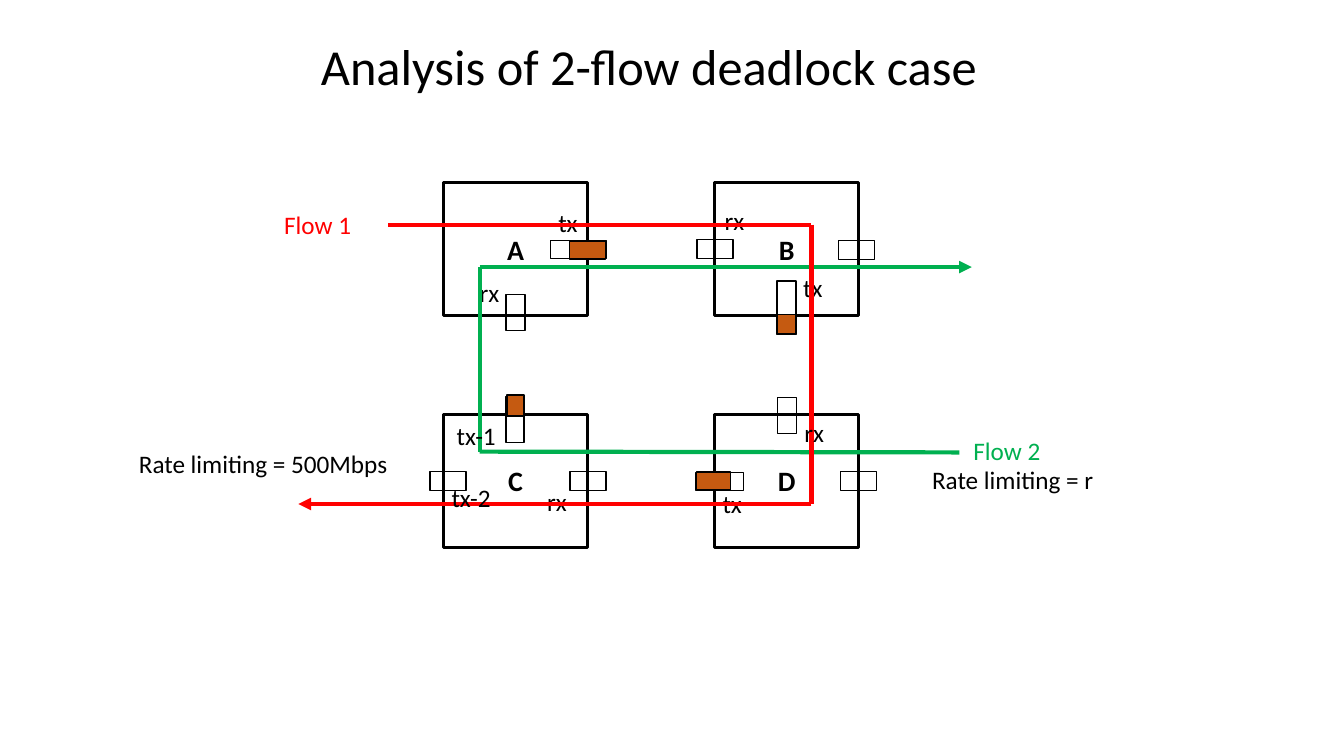
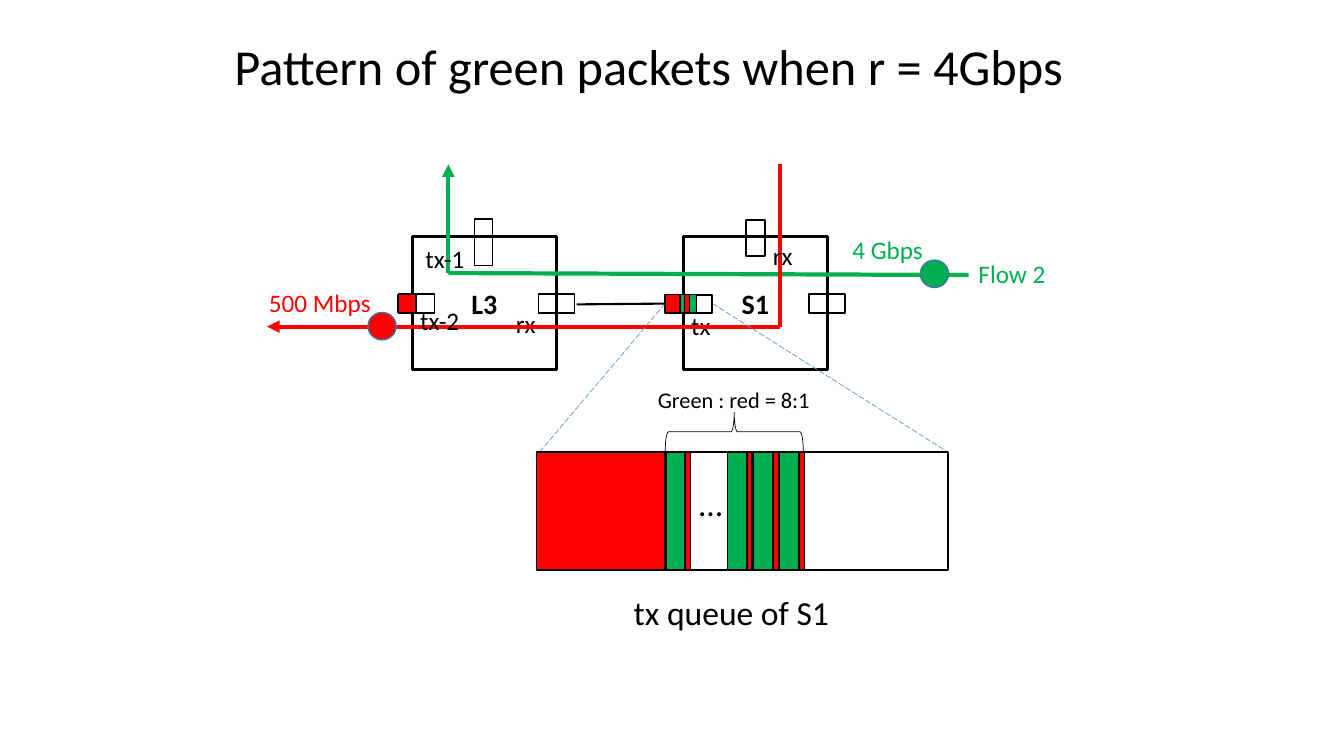
from lxml import etree
from pptx import Presentation
from pptx.dml.color import RGBColor
from pptx.enum.dml import MSO_LINE
from pptx.enum.shapes import MSO_CONNECTOR, MSO_SHAPE
from pptx.enum.text import MSO_ANCHOR, MSO_AUTO_SIZE, PP_ALIGN
from pptx.oxml.ns import qn
from pptx.util import Cm, Pt

FONT = "Calibri"
COLORS = {
    "black": "000000", "red": "FF0000", "green": "00B050",
    "queue": "C55A11", "dash": "5B9BD5", "ring": "43739E",
}
NODE_W, NODE_H = 3.63, 3.35
PAIR_GAP = 6.83  # from the left edge of one node to that of the next
FLAT = (0.91, 0.48)
UPRIGHT = (0.48, 0.91)

# Centre and size of each port, measured from the left node's corner
PAIR_PORTS = [
    (0.11, 1.68, *FLAT), (3.64, 1.68, *FLAT), (1.8, 0.13, 0.46, 1.17),
    (6.96, 1.69, 1.19, 0.46), (8.65, 0.03, *UPRIGHT), (10.45, 1.68, *FLAT),
]
LABELS_BELOW_FLOWS = [("rx", 2.36, 1.68, 1.02), ("tx", 6.78, 1.73, 0.99)]
LABELS_ABOVE_FLOWS = [
    ("tx-1", 0.08, 0.03, 1.52), ("tx-2", -0.05, 1.6, 1.52), ("rx", 8.84, -0.05, 1.02),
]


def rgb(name):
    """Look up a named colour."""
    return RGBColor.from_string(COLORS[name])


def style_text(p, size, color="black", bold=False):
    """Format every run of a paragraph."""
    for r in p.runs:
        r.font.name, r.font.size, r.font.bold = FONT, Pt(size), bold
        r.font.color.rgb = rgb(color)


def add_label(s, text, x, y, w, color="black", size=18, h=1.02):
    """Add a one-line text box that does not wrap."""
    tf = s.shapes.add_textbox(Cm(x), Cm(y), Cm(w), Cm(h)).text_frame
    tf.word_wrap = False
    tf.auto_size = MSO_AUTO_SIZE.SHAPE_TO_FIT_TEXT
    tf.text = text
    style_text(tf.paragraphs[0], size, color)
    return tf


def add_title(s, text):
    """Add the centred slide title."""
    tf = add_label(s, text, 1.6, 0.76, 29.51, size=36, h=1.8)
    tf.word_wrap = True
    tf.paragraphs[0].alignment = PP_ALIGN.CENTER


def add_outlined(s, kind, x, y, w, h, fill=None, line="black", width=1):
    """Add a preset shape with an outline and an optional fill."""
    sp = s.shapes.add_shape(kind, Cm(x), Cm(y), Cm(w), Cm(h))
    sp.shadow.inherit = False
    if fill:
        sp.fill.solid()
        sp.fill.fore_color.rgb = rgb(fill)
    else:
        sp.fill.background()
    sp.line.color.rgb = rgb(line)
    sp.line.width = Pt(width)
    return sp


def add_block(s, cx, cy, w, h, fill=None):
    """Add a port or packet block around a centre point."""
    add_outlined(s, MSO_SHAPE.RECTANGLE, cx - w / 2, cy - h / 2, w, h, fill)


def add_dot(s, cx, cy, fill):
    """Add a rate limiter dot around a centre point."""
    w, h = 0.71, 0.69
    add_outlined(s, MSO_SHAPE.OVAL, cx - w / 2, cy - h / 2, w, h, fill, "ring")


def add_node(s, name, x, y):
    """Add a switch with its name in the middle."""
    sp = add_outlined(s, MSO_SHAPE.RECTANGLE, x, y, NODE_W, NODE_H, width=2.25)
    tf = sp.text_frame
    tf.text = name
    tf.vertical_anchor = MSO_ANCHOR.MIDDLE
    p = tf.paragraphs[0]
    p.alignment = PP_ALIGN.CENTER
    style_text(p, 20, bold=True)


def add_line(s, start, end, color, width, arrow=False, dash=None):
    """Add a straight line, with an arrowhead at its end if asked."""
    cn = s.shapes.add_connector(
        MSO_CONNECTOR.STRAIGHT, *(Cm(v) for v in (*start, *end)))
    cn.line.color.rgb = rgb(color)
    cn.line.width = Pt(width)
    if dash:
        cn.line.dash_style = dash
    props = cn._element.spPr
    if arrow:
        etree.SubElement(props.find(qn("a:ln")), qn("a:tailEnd"), type="triangle")
    etree.SubElement(props, qn("a:effectLst"))


def add_flow(s, points, color):
    """Join the points with lines that end in an arrow."""
    last = len(points) - 2
    for i, (start, end) in enumerate(zip(points, points[1:])):
        add_line(s, start, end, color, 3, arrow=i == last)


def add_pair_labels(s, labels, x, y):
    """Add port labels placed from the pair's corner."""
    for text, dx, dy, w in labels:
        add_label(s, text, x + dx, y + dy, w)


def add_pair(s, names, x, y):
    """Add two neighbouring switches with their ports."""
    for i, name in enumerate(names):
        add_node(s, name, x + i * PAIR_GAP, y)
    for dx, dy, w, h in PAIR_PORTS:
        add_block(s, x + dx, y + dy, w, h)
    add_pair_labels(s, LABELS_BELOW_FLOWS, x, y)


def add_queue(s):
    """Add the enlarged tx queue with its packets and brace."""
    cy, h = 12.88, 2.95
    add_block(s, 18.71, cy, 10.36, 2.97)
    add_block(s, 15.14, cy, 3.25, h, "red")
    for cx in [17.02] + [18.57 + i * 0.66 for i in range(3)]:
        add_block(s, cx, cy, 0.48, h, "green")
        add_block(s, cx + 0.32, cy, 0.13, h, "red")
    add_label(s, "…", 17.37, 12.04, 1.12, size=24, h=1.27)
    brace = add_outlined(s, MSO_SHAPE.RIGHT_BRACE, 18.01, 9.14, 0.99, 3.48, width=0.5)
    brace.rotation = 270
    add_label(s, "Green : red = 8:1", 16.33, 9.6, 4.39, size=16, h=0.94)
    add_label(s, "tx queue of S1", 15.72, 14.78, 5.59, size=24, h=1.27)


def build_deadlock(s):
    """Build the four-switch deadlock diagram."""
    x, y = 11.18, 10.44
    add_title(s, "Analysis of 2-flow deadlock case")
    for i, name in enumerate("AB"):
        add_node(s, name, x + i * PAIR_GAP, 4.6)
    add_pair(s, "CD", x, y)
    for cx, cy, w, h, fill in [
        (18.02, 6.27, *FLAT, None), (21.58, 6.3, *FLAT, None),
        (12.99, 7.87, *UPRIGHT, None),
        (19.82, 7.76, 0.48, 1.35, None), (19.82, 8.17, 0.48, 0.48, "queue"),
        (14.58, 6.29, 1.4, 0.46, None), (14.81, 6.3, 0.91, 0.46, "queue"),
        (17.98, 12.12, 0.86, 0.46, "queue"), (12.99, 10.22, 0.43, 0.53, "queue"),
    ]:
        add_block(s, cx, cy, w, h, fill)
    for text, left, top, w in [
        ("rx", 11.84, 6.86, 1.02), ("tx", 13.82, 5.11, 0.99),
        ("rx", 18.01, 5.05, 1.02), ("tx", 19.99, 6.73, 0.99),
        ("Rate limiting = 500Mbps", 3.25, 11.18, 6.86),
        ("Rate limiting = r", 23.24, 11.58, 4.62),
    ]:
        add_label(s, text, left, top, w)
    add_flow(s, [(24.18, 11.4), (12.09, 11.38), (12.09, 6.73), (24.49, 6.73)], "green")
    add_flow(s, [(9.78, 5.66), (20.45, 5.66), (20.45, 12.7), (7.52, 12.7)], "red")
    add_label(s, "Flow 1", 6.91, 5.16, 2.21, "red")
    add_label(s, "Flow 2", 24.28, 10.85, 2.21, "green")
    add_pair_labels(s, LABELS_ABOVE_FLOWS, x, y)


def build_pattern(s):
    """Build the packet pattern diagram with the enlarged queue."""
    x, y = 10.39, 5.97
    add_title(s, "Pattern of green packets when r = 4Gbps")
    add_pair(s, ["L3", "S1"], x, y)
    add_flow(s, [(24.41, 6.93), (11.3, 6.88), (11.3, 4.14)], "green")
    add_flow(s, [(19.66, 4.14), (19.66, 8.23), (6.73, 8.23)], "red")
    add_pair_labels(s, LABELS_ABOVE_FLOWS, x, y)
    for cx, w, fill in [
        (10.26, 0.46, "red"), (16.94, 0.36, "red"),
        (17.35, 0.41, "green"), (17.32, 0.13, "red"),
    ]:
        add_block(s, cx, 7.65, w, 0.46, fill)
    add_dot(s, 9.63, 8.22, "red")
    add_dot(s, 23.55, 6.9, "green")
    add_label(s, "500 Mbps", 6.53, 7.11, 3.1, "red")
    add_label(s, "4 Gbps", 21.23, 5.77, 2.31, "green")
    add_label(s, "Flow 2", 24.41, 6.38, 2.21, "green")
    for start, end in [(16.76, 13.59), (17.96, 23.9)]:
        add_line(s, (start, 7.65), (end, 11.4), "dash", 0.5, dash=MSO_LINE.LONG_DASH)
    add_queue(s)
    add_line(s, (16.76, 7.65), (14.53, 7.67), "black", 1.5)


def main():
    """Build both slides and save the presentation."""
    prs = Presentation()
    prs.slide_width, prs.slide_height = Cm(33.87), Cm(19.05)
    for build in (build_deadlock, build_pattern):
        build(prs.slides.add_slide(prs.slide_layouts[6]))
    prs.save("out.pptx")


main()
